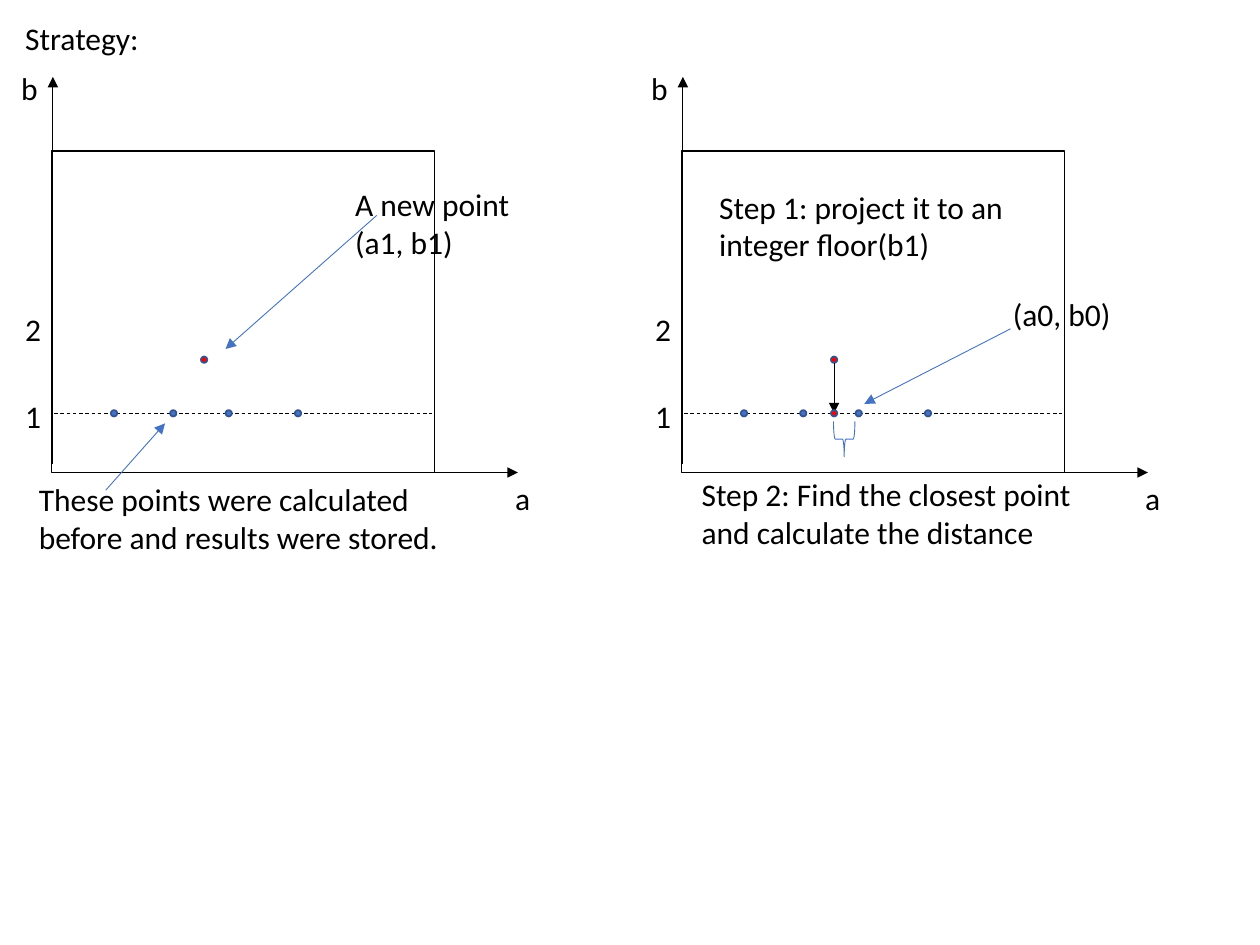
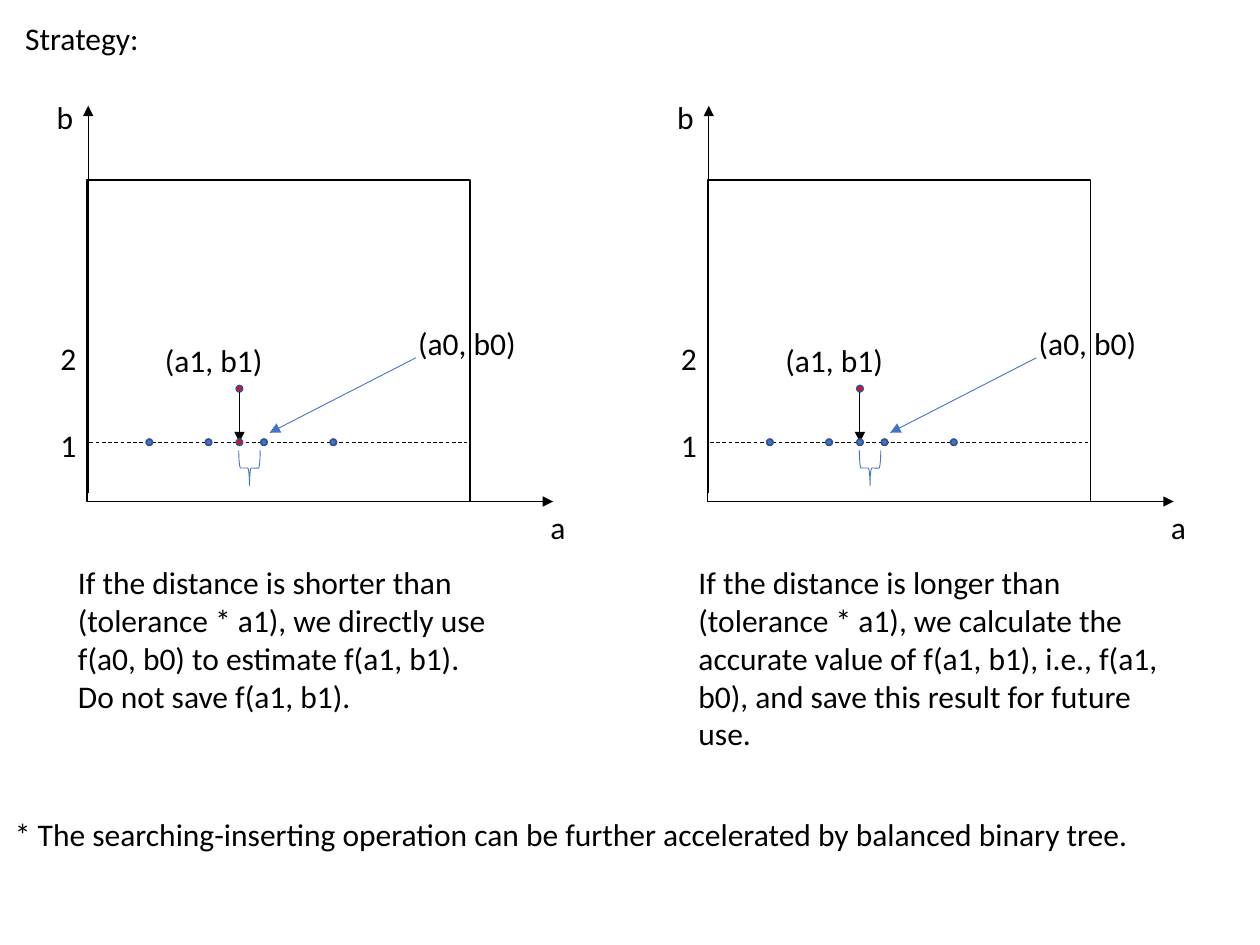
from dataclasses import dataclass

from lxml.etree import SubElement
from pptx import Presentation
from pptx.dml.color import RGBColor
from pptx.enum.dml import MSO_LINE
from pptx.enum.shapes import MSO_CONNECTOR, MSO_SHAPE
from pptx.enum.text import MSO_ANCHOR, MSO_AUTO_SIZE, PP_ALIGN
from pptx.oxml.ns import qn
from pptx.util import Inches, Pt

COLUMNS, ROWS = 100, 75
TITLE_ONLY = 5

# Rows and columns inside a plane, measured from its top left corner
FLOOR = 20.8
NEW_A, NEW_B = 12.1, 16.55


@dataclass(frozen=True)
class Theme:
    font: str = "Calibri"
    size: float = 18
    ink: str = "000000"
    accent: str = "4472C4"
    dot_outline: str = "325491"
    highlight: str = "FF0000"
    thin: float = 0.5
    thick: float = 1


class Sketch:
    """Draws on the current slide; all lengths are grid columns and rows."""

    def __init__(self, deck, theme):
        self.deck = deck
        self.theme = theme
        self.column = deck.slide_width / COLUMNS
        self.row = deck.slide_height / ROWS
        self.slide = None
        self.origin = (0, 0)

    def new_slide(self, heading):
        self.slide = self.deck.slides.add_slide(self.deck.slide_layouts[TITLE_ONLY])
        self.origin = (0, 0)
        title = self.slide.shapes.title
        title.left, title.top, title.width, title.height = self.box(1, 1, 50, 4)
        self.fill_text(title.text_frame, heading)

    def point(self, x, y):
        """Slide position of a point measured from the current origin."""
        return (int((self.origin[0] + x) * self.column),
                int((self.origin[1] + y) * self.row))

    def box(self, x, y, width, height):
        return (*self.point(x, y), int(width * self.column), int(height * self.row))

    def fill_text(self, frame, wording):
        frame.word_wrap = True
        frame.auto_size = MSO_AUTO_SIZE.SHAPE_TO_FIT_TEXT
        frame.vertical_anchor = MSO_ANCHOR.TOP
        frame.text = wording
        for paragraph in frame.paragraphs:
            paragraph.alignment = PP_ALIGN.LEFT
            for run in paragraph.runs:
                run.font.name = self.theme.font
                run.font.size = Pt(self.theme.size)
                run.font.color.rgb = RGBColor.from_string(self.theme.ink)

    def text(self, wording, x, y, width, height=4):
        label = self.slide.shapes.add_textbox(*self.box(x, y, width, height))
        self.fill_text(label.text_frame, wording)

    def shape(self, preset, x, y, width, height, outline, weight, fill=None):
        figure = self.slide.shapes.add_shape(preset, *self.box(x, y, width, height))
        figure.shadow.inherit = False
        if fill:
            figure.fill.solid()
            figure.fill.fore_color.rgb = RGBColor.from_string(fill)
        else:
            figure.fill.background()
        figure.line.color.rgb = RGBColor.from_string(outline)
        figure.line.width = Pt(weight)
        return figure

    def dot(self, x, y, fill):
        size = 0.5
        self.shape(MSO_SHAPE.OVAL, x - size / 2, y - size / 2, size, size,
                   self.theme.dot_outline, self.theme.thick, fill)

    def line(self, start, end, color, dashed=False):
        stroke = self.slide.shapes.add_connector(
            MSO_CONNECTOR.STRAIGHT, *self.point(*start), *self.point(*end))
        stroke.line.color.rgb = RGBColor.from_string(color)
        stroke.line.width = Pt(self.theme.thin)
        if dashed:
            stroke.line.dash_style = MSO_LINE.DASH
        SubElement(stroke._element.spPr, qn("a:effectLst"))
        return stroke

    def arrow(self, start, end, color):
        stroke = self.line(start, end, color)
        outline = stroke._element.spPr.find(qn("a:ln"))
        SubElement(outline, qn("a:tailEnd"), type="triangle")

    def plane(self, left, top):
        """The a-b plane with its stored points; moves the origin to its frame."""
        theme = self.theme
        self.origin = (left, top)
        self.shape(MSO_SHAPE.RECTANGLE, 0, 0, 30.4, 25.5, theme.ink, theme.thick)
        self.arrow((0.1, 24.8), (0.1, -5.9), theme.ink)
        self.arrow((0.6, 25.5), (37, 25.5), theme.ink)
        self.line((0.2, FLOOR), (30.2, FLOOR), theme.ink, dashed=True)
        for stored_a in (4.95, 9.65, 14.05, 19.55):
            self.dot(stored_a, FLOOR, theme.accent)
        for name, x, y in (("1", -3.1, 19), ("2", -3.1, 12.1),
                           ("b", -3.4, -7), ("a", 35.8, 25.5)):
            self.text(name, x, y, 3.5)
        self.dot(NEW_A, NEW_B, theme.highlight)

    def projection(self, projected_fill):
        """Drop the new point to the floor and mark its nearest stored point."""
        theme = self.theme
        self.arrow((NEW_A, NEW_B + 0.25), (NEW_A, FLOOR), theme.ink)
        self.dot(NEW_A, FLOOR, projected_fill)
        brace = self.shape(MSO_SHAPE.RIGHT_BRACE, 11.5, 22, 2.8, 1.7,
                           theme.accent, theme.thin)
        brace.rotation = 90
        self.text("(a0, b0)", 25.3, 10.95, 11.5)
        self.arrow((26.1, 14.1), (14.5, 20.05), theme.accent)


def search_slide(sketch):
    theme = sketch.theme
    sketch.new_slide("Strategy:")
    sketch.plane(4.1, 12)
    sketch.arrow((25.8, 5.1), (13.8, 15.7), theme.accent)
    sketch.text("A new point\n(a1, b1)", 23.1, 2.2, 17.2, 7.1)
    sketch.arrow((4.3, 26.9), (9, 21.6), theme.accent)
    sketch.text("These points were calculated before and results were stored.",
                -2, 25.6, 36.6, 7.1)

    sketch.plane(54.1, 12)
    sketch.projection(theme.highlight)
    sketch.text("Step 1: project it to an integer floor(b1)", 2, 2.4, 25, 7.1)
    sketch.text("Step 2: Find the closest point and calculate the distance",
                0.6, 25.2, 34.6, 7.1)


def decision_slide(sketch):
    theme = sketch.theme
    sketch.new_slide("Strategy:")
    cases = (
        (6.9, theme.highlight, 37.9,
         "If the distance is shorter than (tolerance * a1), we directly use "
         "f(a0, b0) to estimate f(a1, b1).\nDo not save f(a1, b1)."),
        (56.15, theme.accent, 40.9,
         "If the distance is longer than (tolerance * a1), we calculate the "
         "accurate value of f(a1, b1), i.e., f(a1, b0), and save this result "
         "for future use."),
    )
    for left, projected_fill, width, decision in cases:
        sketch.plane(left, 14.3)
        sketch.projection(projected_fill)
        sketch.text("(a1, b1)", 5.2, 12.3, 10.3)
        sketch.text(decision, -1.7, 29.9, width, 13.1)
    sketch.origin = (0, 0)
    sketch.text("* The searching-inserting operation can be further accelerated "
                "by balanced binary tree.", 0.2, 64.2, 92.5)


def main():
    deck = Presentation()
    deck.slide_width, deck.slide_height = Inches(10), Inches(7.5)
    sketch = Sketch(deck, Theme())
    search_slide(sketch)
    decision_slide(sketch)
    deck.save("out.pptx")


if __name__ == "__main__":
    main()
